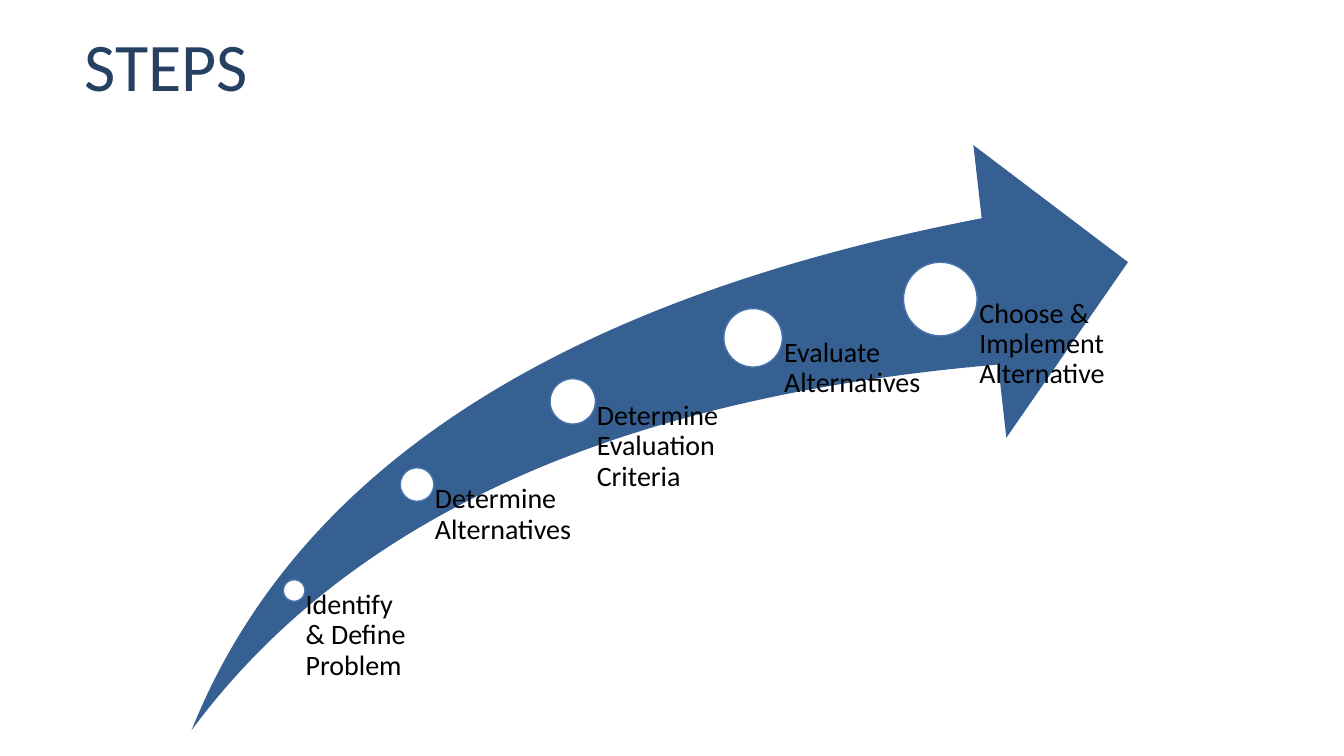
"""Build the STEPS slide: a rising arrow with five milestones."""
import dataclasses

import pptx
import pptx.dml.color
import pptx.enum.shapes
import pptx.enum.text
import pptx.slide
import pptx.util

Pt = pptx.util.Pt
Color = pptx.dml.color.RGBColor
Kind = pptx.enum.shapes.MSO_SHAPE
Anchor = pptx.enum.text.MSO_ANCHOR


@dataclasses.dataclass(frozen=True)
class Theme:
    font: str = "Calibri"
    title: str = "254061"
    arrow: str = "376092"
    dot: str = "FFFFFF"
    rim: str = "4875AC"
    text: str = "000000"
    head: float = 48.6
    body: float = 20
    lead: float = 0.9


@dataclasses.dataclass(frozen=True)
class Box:
    left: float
    top: float
    width: float
    height: float

    def emu(self) -> tuple[int, int, int, int]:
        return Pt(self.left), Pt(self.top), Pt(self.width), Pt(self.height)


@dataclasses.dataclass(frozen=True)
class Step:
    label: str
    x: float
    y: float
    size: float
    width: float


THEME = Theme()
TITLE = Box(53.3, 18.7, 676.8, 61.2)
ARROW = Box(136.8, 103.7, 668.9, 418)
BASE = ARROW.top + ARROW.height
INSET = 0.53
STEPS = (
    Step("Identify & Define Problem", 210.1, 421.8, 15.4, 87.8),
    Step("Determine Alternatives", 297.9, 346.1, 24, 110.9),
    Step("Determine Evaluation Criteria", 409.1, 286.7, 32.4, 128.9),
    Step("Evaluate Alternatives", 537.9, 241.3, 41.8, 133.9),
    Step("Choose & Implement Alternative", 671.7, 213.6, 52.6, 133.9),
)


def add_arrow(slide: pptx.slide.Slide) -> None:
    arrow = slide.shapes.add_shape(Kind.SWOOSH_ARROW, *ARROW.emu())
    arrow.adjustments[0] = 0.25
    arrow.adjustments[1] = 0.25
    arrow.shadow.inherit = False
    arrow.fill.solid()
    arrow.fill.fore_color.rgb = Color.from_string(THEME.arrow)
    arrow.line.fill.background()


def add_dot(slide: pptx.slide.Slide, step: Step) -> None:
    half = step.size / 2
    box = Box(step.x - half, step.y - half, step.size, step.size)
    dot = slide.shapes.add_shape(Kind.OVAL, *box.emu())
    dot.shadow.inherit = False
    dot.fill.solid()
    dot.fill.fore_color.rgb = Color.from_string(THEME.dot)
    dot.line.color.rgb = Color.from_string(THEME.rim)
    dot.line.width = Pt(1)


def add_text(slide: pptx.slide.Slide, box: Box, text: str, size: float,
             color: str, anchor: Anchor, pads: Box) -> None:
    frame = slide.shapes.add_textbox(*box.emu()).text_frame
    frame.word_wrap = True
    frame.vertical_anchor = anchor
    (frame.margin_left, frame.margin_top,
     frame.margin_right, frame.margin_bottom) = pads.emu()
    line = frame.paragraphs[0]
    line.text = text
    line.line_spacing = THEME.lead
    line.font.name = THEME.font
    line.font.size = Pt(size)
    line.font.color.rgb = Color.from_string(color)


def add_step(slide: pptx.slide.Slide, step: Step) -> None:
    add_dot(slide, step)
    box = Box(step.x, step.y, step.width, BASE - step.y)
    pads = Box(INSET * step.size, 0, 0, 0)
    add_text(slide, box, step.label, THEME.body, THEME.text, Anchor.TOP, pads)


def main() -> None:
    deck = pptx.Presentation()
    deck.slide_width, deck.slide_height = Pt(960), Pt(540)
    slide = deck.slides.add_slide(deck.slide_layouts[6])
    add_arrow(slide)
    for step in STEPS:
        add_step(slide, step)
    add_text(slide, TITLE, "STEPS", THEME.head, THEME.title,
             Anchor.MIDDLE, Box(7.2, 3.6, 7.2, 3.6))
    deck.save("out.pptx")


if __name__ == "__main__":
    main()
